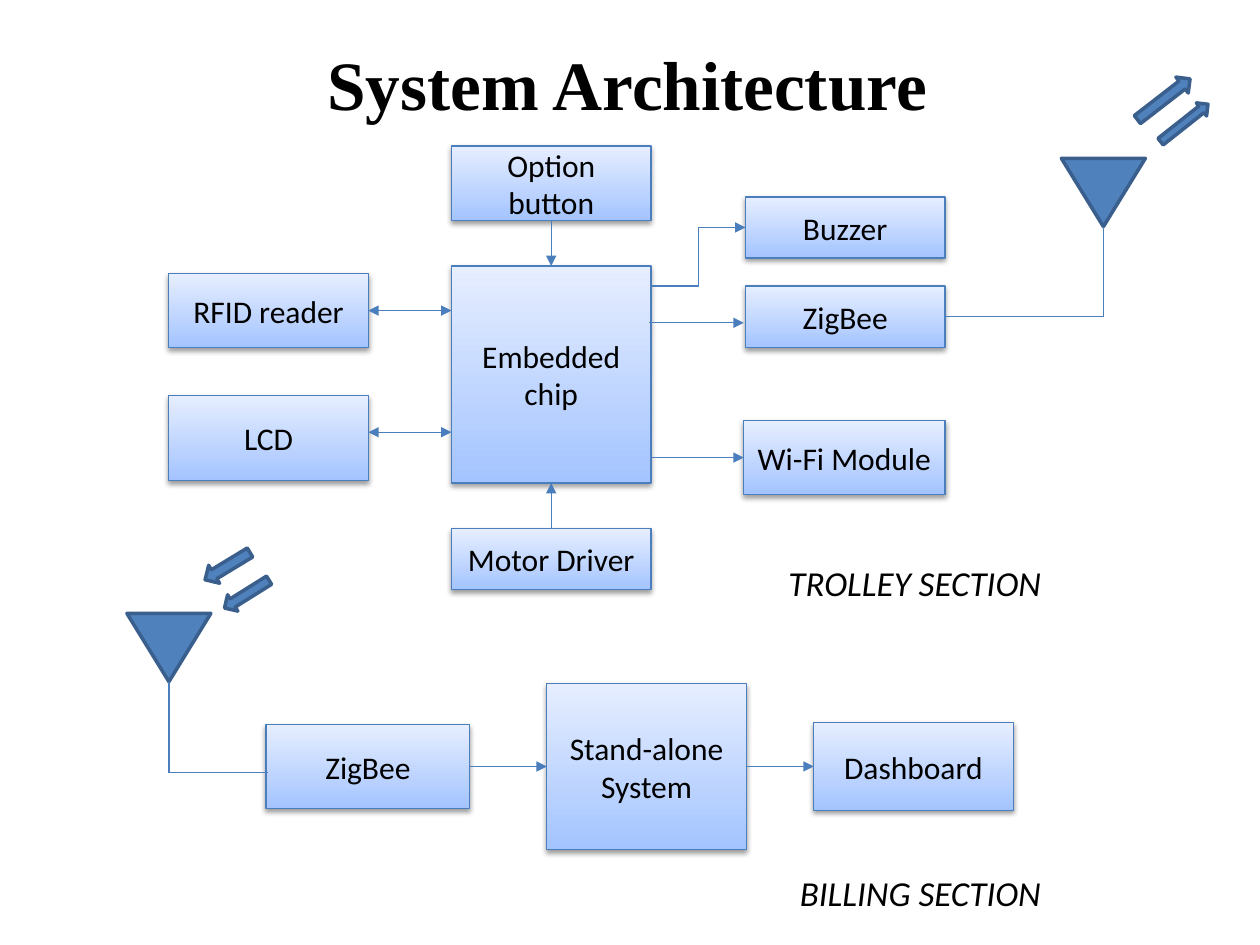
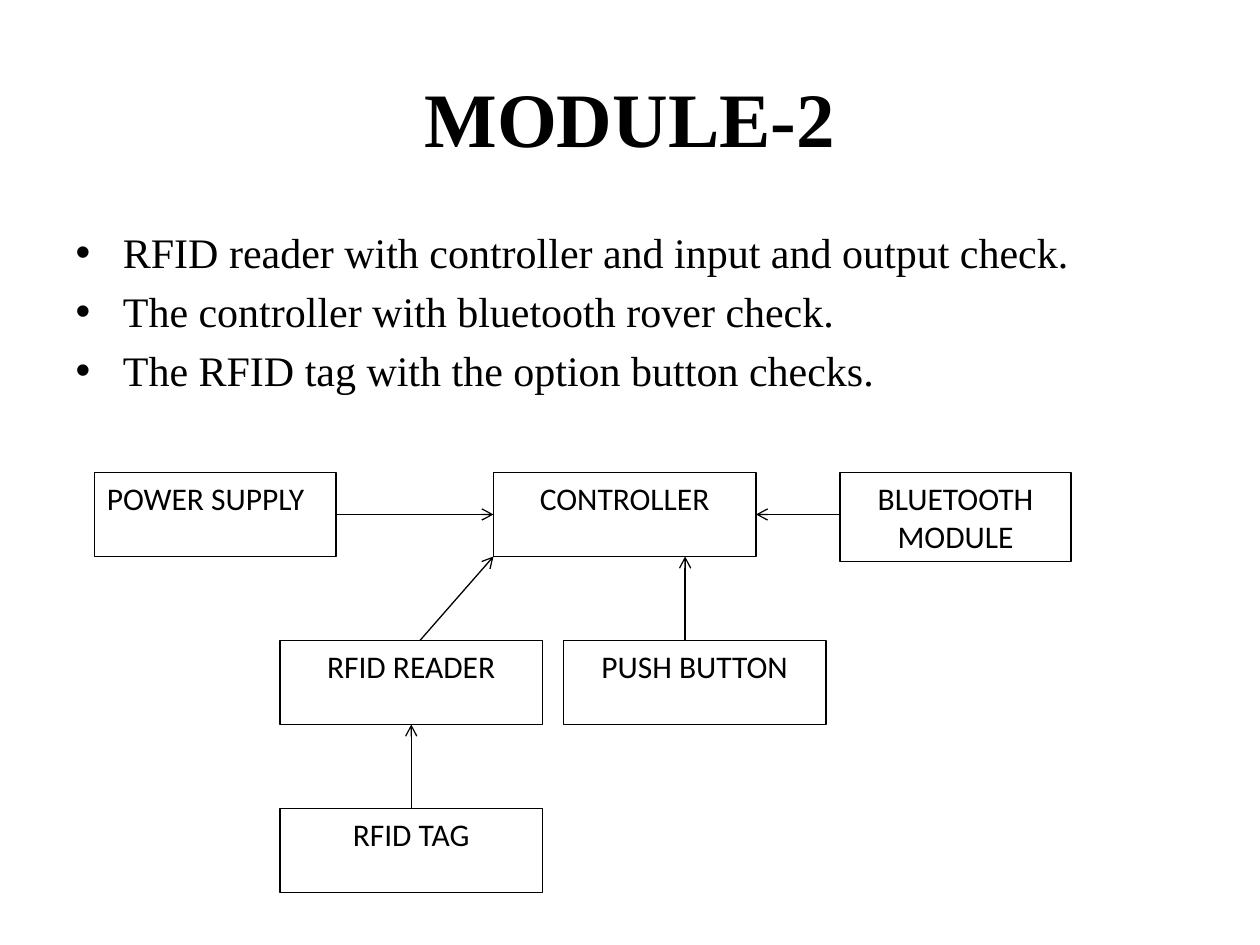
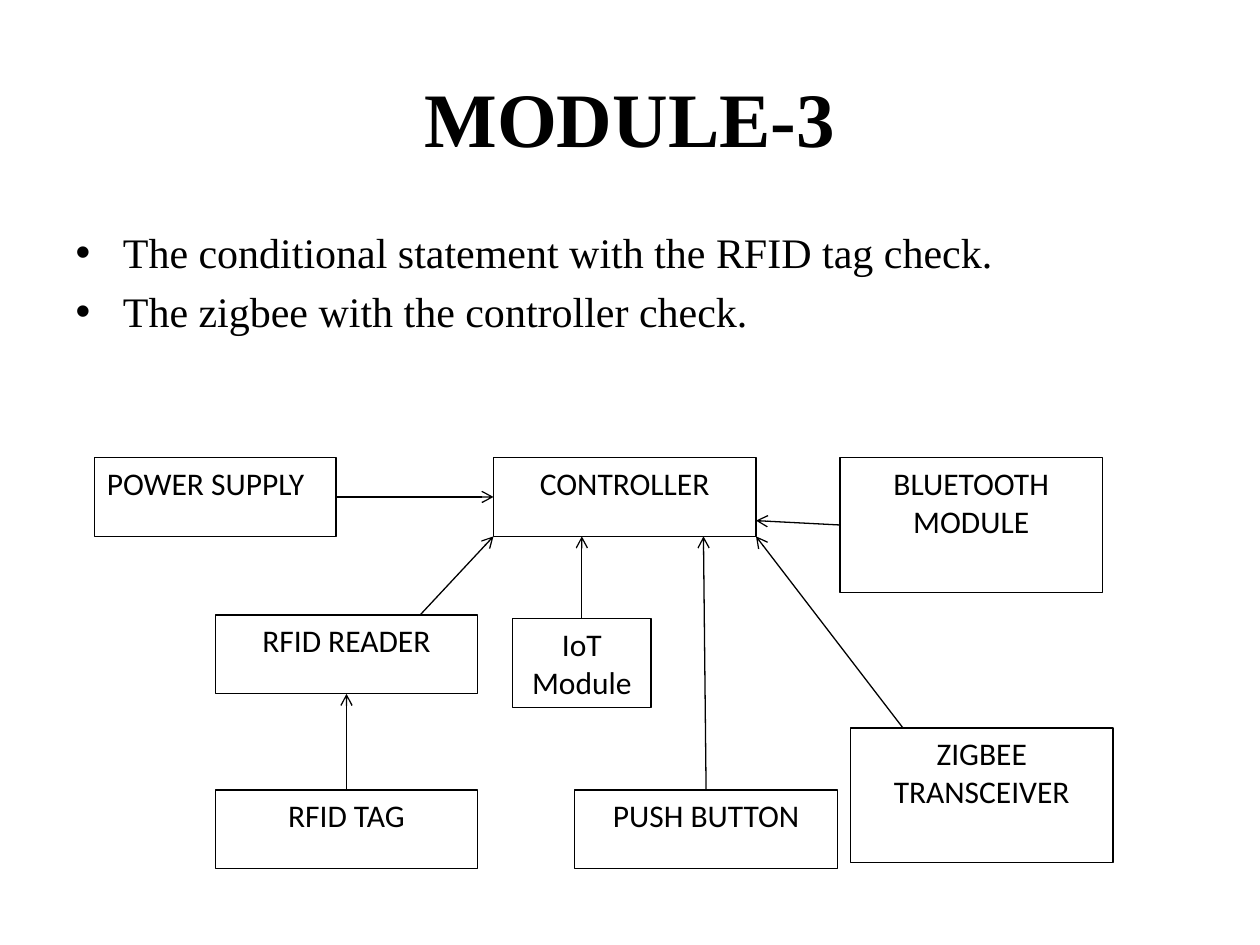
from dataclasses import dataclass

from lxml import etree
from pptx import Presentation
from pptx.dml.color import RGBColor
from pptx.enum import shapes, text
from pptx.oxml.ns import qn
from pptx.util import Pt

SHAPE = shapes.MSO_SHAPE
CONNECTOR = shapes.MSO_CONNECTOR
ALIGN = text.PP_ALIGN
ANCHOR = text.MSO_ANCHOR
TOP, LEFT, BOTTOM, RIGHT = range(4)


@dataclass(frozen=True)
class Theme:
    ink: RGBColor = RGBColor(0, 0, 0)
    blue: RGBColor = RGBColor(0x4F, 0x81, 0xBD)
    blue_line: RGBColor = RGBColor(0x4B, 0x7E, 0xBC)
    blue_edge: RGBColor = RGBColor(0x3A, 0x5F, 0x8C)
    glossy: tuple = (RGBColor(0xA4, 0xC4, 0xFF), RGBColor(0xE6, 0xEE, 0xFF))
    serif: str = "Times New Roman"
    sans: str = "Calibri"
    title_size: float = 44
    compact_title_size: float = 39.6
    list_size: float = 24
    section_size: float = 20
    box_size: float = 18
    thin: float = 0.75
    thick: float = 2


THEME = Theme()
TITLE_AREA = (36, 21.5, 648, 90)
COMPACT_TITLE_AREA = (34.5, 21.5, 648, 52)
LIST_AREA = (36, 126, 648, 356.5)


def points(*lengths):
    return [Pt(length) for length in lengths]


def set_font(para, name, size, bold=False, italic=False):
    para.font.name = name
    para.font.size = Pt(size)
    para.font.bold = bold
    para.font.italic = italic
    para.font.color.rgb = THEME.ink


def place(shape, area):
    shape.left, shape.top, shape.width, shape.height = points(*area)


def add_page(deck, title, layout, area=TITLE_AREA, size=THEME.title_size):
    page = deck.slides.add_slide(deck.slide_layouts.get_by_name(layout))
    heading = page.shapes.title
    place(heading, area)
    heading.text_frame.text = title
    heading.text_frame.auto_size = text.MSO_AUTO_SIZE.NONE
    heading.text_frame.vertical_anchor = ANCHOR.MIDDLE
    para = heading.text_frame.paragraphs[0]
    para.alignment = ALIGN.CENTER
    set_font(para, THEME.serif, size, bold=True)
    return page


def add_module_page(deck, title, checks):
    page = add_page(deck, title, "Title and Content")
    body = page.placeholders[1]
    place(body, LIST_AREA)
    body.text_frame.text = "\n".join(checks)
    body.text_frame.auto_size = text.MSO_AUTO_SIZE.NONE
    for para in body.text_frame.paragraphs:
        set_font(para, THEME.serif, THEME.list_size)
    return page


def add_box(page, label, area, anchor=ANCHOR.TOP, align=ALIGN.CENTER):
    box = page.shapes.add_shape(SHAPE.RECTANGLE, *points(*area))
    box.shadow.inherit = False
    box.fill.background()
    box.line.color.rgb = THEME.ink
    box.line.width = Pt(THEME.thin)
    frame = box.text_frame
    frame.text = label
    frame.word_wrap = True
    frame.vertical_anchor = anchor
    frame.paragraphs[0].alignment = align
    set_font(frame.paragraphs[0], THEME.sans, THEME.box_size)
    return box


def add_soft_shadow(shape):
    effects = shape._element.spPr.find(qn("a:effectLst"))
    shadow = etree.SubElement(effects, qn("a:outerShdw"), blurRad=str(Pt(3.1)),
                              dist=str(Pt(1.6)), dir="5400000", rotWithShape="0")
    color = etree.SubElement(shadow, qn("a:srgbClr"), val=str(THEME.ink))
    etree.SubElement(color, qn("a:alpha"), val="38000")


def add_glossy_box(page, label, area):
    box = add_box(page, label, area, ANCHOR.MIDDLE)
    box.fill.gradient()
    box.fill.gradient_angle = 90
    for stop, color in zip(box.fill.gradient_stops, THEME.glossy):
        stop.color.rgb = color
    box.line.color.rgb = THEME.blue_line
    add_soft_shadow(box)
    return box


def add_link(page, start, end, color, head=None, tail=None, kind=CONNECTOR.STRAIGHT):
    """Join two ends, each an (x, y) point or a (box, side) pair."""
    link = page.shapes.add_connector(kind, *points(
        *(number for end_at in (start, end)
          for number in (end_at if is_point(end_at) else (0, 0)))))
    if not is_point(start):
        link.begin_connect(*start)
    if not is_point(end):
        link.end_connect(*end)
    link.line.color.rgb = color
    link.line.width = Pt(THEME.thin)
    properties = link._element.spPr
    outline = properties.find(qn("a:ln"))
    for tag, arrow in (("a:headEnd", head), ("a:tailEnd", tail)):
        if arrow:
            etree.SubElement(outline, qn(tag), type=arrow)
    etree.SubElement(properties, qn("a:effectLst"))


def is_point(end):
    return isinstance(end[0], (int, float))


def add_blue_shape(page, kind, area, rotation):
    shape = page.shapes.add_shape(kind, *points(*area))
    shape.shadow.inherit = False
    shape.rotation = rotation
    shape.fill.solid()
    shape.fill.fore_color.rgb = THEME.blue
    shape.line.color.rgb = THEME.blue_edge
    shape.line.width = Pt(THEME.thick)


def add_antenna(page, tip, foot_y, radio_end, waves):
    """Draw the dish above its tip, the mast, the lead to the radio and the waves."""
    x, y = tip
    width, height = 48, 39
    add_blue_shape(page, SHAPE.ISOSCELES_TRIANGLE,
                   (x - width / 2, y - height, width, height), 180)
    add_link(page, tip, (x, foot_y), THEME.blue_line)
    add_link(page, radio_end, (x, foot_y), THEME.blue_line)
    for area, rotation in waves:
        add_blue_shape(page, SHAPE.RIGHT_ARROW, area, rotation)


def add_section_name(page, name, area):
    label = page.shapes.add_textbox(*points(*area))
    label.text_frame.word_wrap = True
    label.text_frame.text = name
    set_font(label.text_frame.paragraphs[0], THEME.sans, THEME.section_size, italic=True)


def build_architecture(deck):
    page = add_page(deck, "System Architecture", "Title Only",
                    COMPACT_TITLE_AREA, THEME.compact_title_size)
    width = 114
    left_x, chip_x, right_x = 96.5, 258, 426
    chip = add_glossy_box(page, "Embedded chip", (chip_x, 152, width, 124))
    reader = add_glossy_box(page, "RFID reader", (left_x, 156.5, width, 42))
    add_glossy_box(page, "LCD", (left_x, 226, width, 48.5))
    option = add_glossy_box(page, "Option button", (chip_x, 83.5, width, 42.5))
    motor = add_glossy_box(page, "Motor Driver", (chip_x, 302, width, 35))
    buzzer = add_glossy_box(page, "Buzzer", (right_x, 112.5, width, 35))
    trolley_radio = add_glossy_box(page, "ZigBee", (right_x, 163.5, width, 35))
    wifi = add_glossy_box(page, "Wi-Fi Module", (425, 240.5, 115, 42))
    billing_radio = add_glossy_box(page, "ZigBee", (152, 414, 116.5, 48))
    system = add_glossy_box(page, "Stand-alone System", (312.5, 390.5, width, 95))
    dashboard = add_glossy_box(page, "Dashboard", (465, 413, width, 50))

    both = {"head": "triangle", "tail": "triangle"}
    forward = {"tail": "triangle"}
    elbow = {"tail": "triangle", "kind": CONNECTOR.ELBOW}
    for start, end, style in (
        ((reader, RIGHT), (chip_x, 177.5), both),
        ((left_x + width, 247), (chip_x, 247), both),
        ((option, BOTTOM), (chip, TOP), forward),
        ((motor, TOP), (chip, BOTTOM), forward),
        ((chip_x + width, 261.5), (wifi, LEFT), forward),
        ((371, 184.5), (425, 184.5), forward),
        ((chip_x + width, 163.5), (buzzer, LEFT), elbow),
        ((billing_radio, RIGHT), (system, LEFT), forward),
        ((system, RIGHT), (dashboard, LEFT), forward),
    ):
        add_link(page, start, end, THEME.blue_line, **style)

    add_antenna(page, (630.5, 129.5), 181, (trolley_radio, RIGHT),
                [((659.5, 65.5, 34.5, 9.5), 321.7), ((646, 51, 38, 11.5), 322.3)])
    add_antenna(page, (96.5, 389.5), 441.5, (153, 441.5),
                [((115, 317.5, 30, 12), 148.7), ((126, 334, 30, 11), 148)])
    add_section_name(page, "TROLLEY SECTION", (443.5, 317.5, 180.5, 31.5))
    add_section_name(page, "BILLING SECTION", (450, 494.5, 162, 31.5))


def add_controller_core(page, top, height, reader_x, reader_y, tag_y):
    """Add the supply, controller, reader and tag that both modules share."""
    supply = add_box(page, "POWER SUPPLY", (54, top, 138, height), align=ALIGN.LEFT)
    controller = add_box(page, "CONTROLLER", (282, top, 150, height))
    reader = add_box(page, "RFID READER", (reader_x, reader_y, 150, height))
    tag = add_box(page, "RFID TAG", (reader_x, tag_y, 150, height))
    add_arrow(page, (supply, RIGHT), (controller, LEFT))
    add_arrow(page, (240, reader_y), (282, top + height))
    add_arrow(page, (tag, TOP), (reader, BOTTOM))
    return controller


def add_arrow(page, start, end):
    add_link(page, start, end, THEME.ink, tail="arrow")


def build_module_2(deck):
    page = add_module_page(deck, "MODULE-2", [
        "RFID reader with controller and input and output check.",
        "The controller with bluetooth rover check.",
        "The RFID tag with the option button checks.",
    ])
    height = 48
    first, second, third = (270 + 2 * height * row for row in range(3))
    controller = add_controller_core(page, first, height, 160, second, third)
    add_box(page, "BLUETOOTH MODULE", (480, first, 132, 51))
    add_box(page, "PUSH BUTTON", (322, second, 150, height))
    add_arrow(page, (480, first + height / 2), (controller, RIGHT))
    add_arrow(page, (391.5, second), (391.5, first + height))


def build_module_3(deck):
    page = add_module_page(deck, "MODULE-3", [
        "The conditional statement with the RFID tag check.",
        "The zigbee with the controller check.",
    ])
    top, height, last = 261.5, 45, 451.5
    bottom = top + height
    add_controller_core(page, top, height, 123, 351.5, last)
    bluetooth = add_box(page, "BLUETOOTH MODULE", (480, top, 150, 77))
    push = add_box(page, "PUSH BUTTON", (328.5, last, 150, height))
    add_box(page, "ZIGBEE TRANSCEIVER", (486, 416, 150, 77))
    iot = add_box(page, "IoT Module", (293, 353.5, 79, 51))
    add_arrow(page, (bluetooth, LEFT), (432, 297.5))
    add_arrow(page, (push, TOP), (402, bottom))
    add_arrow(page, (516, 416), (432, bottom))
    add_arrow(page, (iot, TOP), (332.5, bottom))


def main():
    deck = Presentation()
    deck.slide_width, deck.slide_height = points(720, 540)
    build_architecture(deck)
    build_module_2(deck)
    build_module_3(deck)
    deck.save("out.pptx")


if __name__ == "__main__":
    main()
